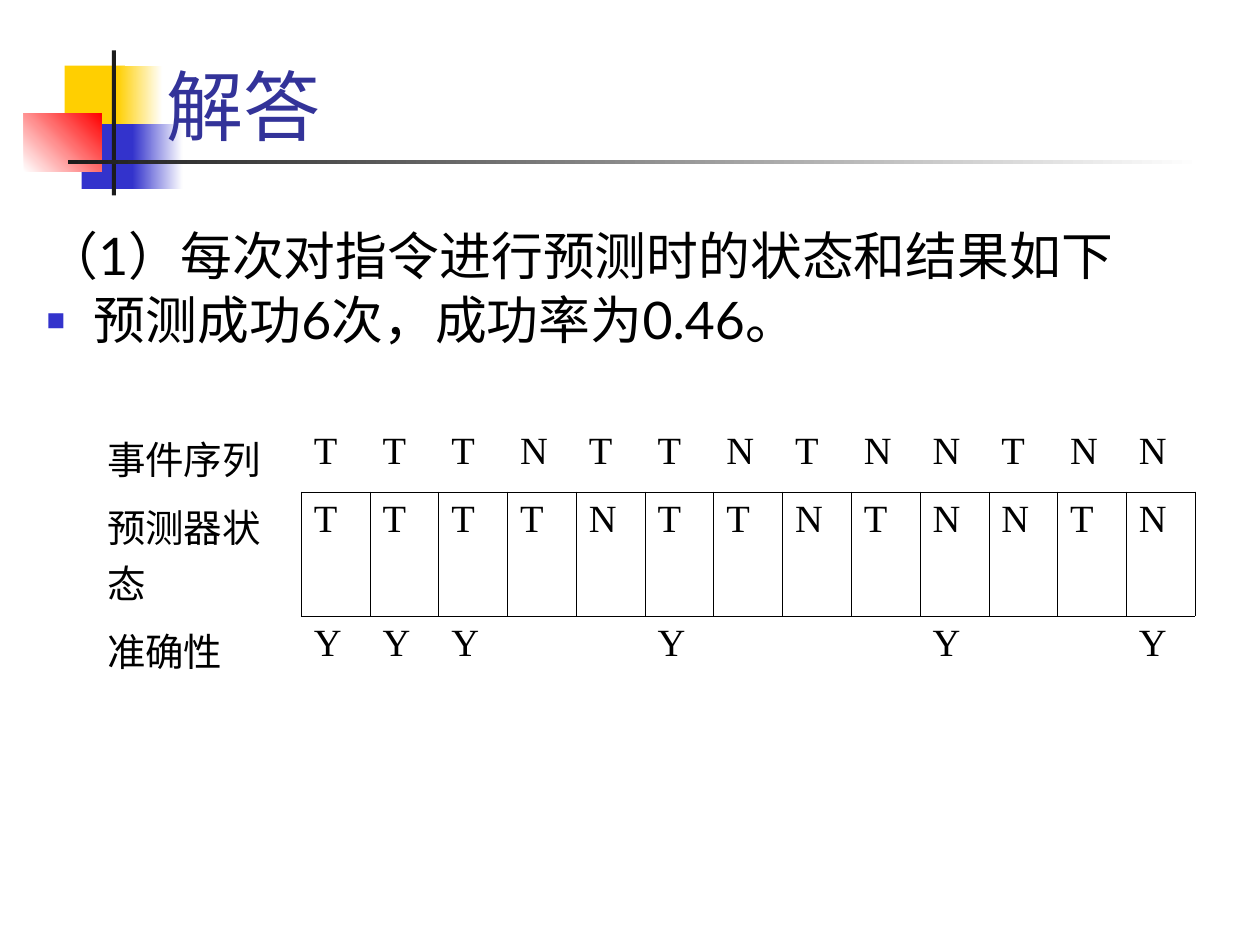
"""Build the slide that lists branch predictor states and their accuracy."""
import dataclasses

import lxml.etree
import pptx
import pptx.dml.color
import pptx.enum.shapes
import pptx.enum.text
import pptx.oxml.ns
import pptx.util

Pt = pptx.util.Pt
BLACK, WHITE, BLUE, GOLD, INK = "000000", "FFFFFF", "3333CC", "FFCF01", "1C1C1C"
NO_STYLE = "{2D5ABB26-0587-4C30-8999-92F81FD0307C}"


@dataclasses.dataclass
class Block:
    left: float
    top: float
    width: float
    height: float
    color: str
    fade: str = ""
    angle: float = 0


BLOCKS = [
    Block(36.9, 37.5, 34.5, 37.5, GOLD),
    Block(66.9, 37.5, 25.9, 37.5, GOLD, WHITE),
    Block(46.6, 70.9, 33.1, 37.1, BLUE),
    Block(75.6, 70.9, 28.8, 37.1, BLUE, WHITE),
    Block(13.7, 64.6, 44.3, 33.4, WHITE, "FF0000", 45),
    Block(63.9, 28.8, 2.4, 82.8, INK),
    Block(38.9, 91.3, 648, 2.3, INK, WHITE),
]

ROWS = [
    ("事件序列", "TTTNTTNTNNTNN", 39.2),
    ("预测器状态", "TTTTNTTNTNNTN", 60.5),
    ("准确性", "YYY  Y   Y  Y", 92),
]


def rgb(color: str) -> pptx.dml.color.RGBColor:
    return pptx.dml.color.RGBColor.from_string(color)


def add_child(parent, tag: str, **attributes: str):
    return lxml.etree.SubElement(parent, pptx.oxml.ns.qn(tag), attributes)


def draw_block(page, block: Block) -> None:
    shape = page.shapes.add_shape(
        pptx.enum.shapes.MSO_SHAPE.RECTANGLE,
        Pt(block.left), Pt(block.top), Pt(block.width), Pt(block.height))
    shape.shadow.inherit = False
    shape.line.fill.background()
    if block.fade:
        shape.fill.gradient()
        shape.fill.gradient_angle = block.angle
        for stop, color in zip(shape.fill.gradient_stops, (block.color, block.fade)):
            stop.color.rgb = rgb(color)
    else:
        shape.fill.solid()
        shape.fill.fore_color.rgb = rgb(block.color)


def write_text(para, text: str, *, size: float, font: str = "Lato", color: str = BLACK) -> None:
    span = para.add_run()
    span.text = text
    span.font.size = Pt(size)
    span.font.name = font
    span.font.color.rgb = rgb(color)


def place(box, left: float, top: float, width: float, height: float) -> None:
    box.left, box.top, box.width, box.height = Pt(left), Pt(top), Pt(width), Pt(height)
    box.text_frame.auto_size = pptx.enum.text.MSO_AUTO_SIZE.NONE
    box.text_frame.word_wrap = True


def set_bullet(para, shown: bool) -> None:
    properties = para._p.get_or_add_pPr()
    properties.set("marL", str(Pt(27)))
    properties.set("indent", str(-Pt(27)))
    if shown:
        add_child(add_child(properties, "a:buClr"), "a:srgbClr", val=BLUE)
        add_child(properties, "a:buSzPct", val="60000")
        add_child(properties, "a:buChar", char="■")
    else:
        add_child(properties, "a:buNone")


def draw_title(page) -> None:
    title = page.shapes.title
    place(title, 87.8, 0, 613.4, 90)
    title.text_frame.vertical_anchor = pptx.enum.text.MSO_ANCHOR.BOTTOM
    para = title.text_frame.paragraphs[0]
    para.alignment = pptx.enum.text.PP_ALIGN.LEFT
    write_text(para, "解答", size=44, color="333399")


def draw_body(page) -> None:
    body = page.placeholders[1]
    place(body, 19.4, 128.2, 684, 116)
    first, second = body.text_frame.paragraphs[0], body.text_frame.add_paragraph()
    lines = (
        (first, "（1）每次对指令进行预测时的状态和结果如下", False, 0),
        (second, "预测成功6次，成功率为0.46。", True, 4.5),
    )
    for para, text, bulleted, space in lines:
        para.line_spacing = 0.9
        para.space_before = Pt(space)
        set_bullet(para, bulleted)
        write_text(para, text, size=29.6)


def border_cell(cell) -> None:
    properties = cell._tc.get_or_add_tcPr()
    for place_index, side in enumerate(("a:lnL", "a:lnR", "a:lnT", "a:lnB")):
        line = add_child(properties, side, w=str(Pt(0.45)))
        add_child(add_child(line, "a:solidFill"), "a:srgbClr", val=BLACK)
        properties.insert(place_index, line)


def draw_table(page) -> None:
    events = len(ROWS[0][1])
    frame = page.shapes.add_table(len(ROWS), events + 1, Pt(54), Pt(242), Pt(629.2), Pt(191.7))
    table = frame.table
    table._tbl.tblPr.find(pptx.oxml.ns.qn("a:tableStyleId")).text = NO_STYLE
    table.first_row = table.horz_banding = False
    for index, column in enumerate(table.columns):
        column.width = Pt(39.3) if index else Pt(118.2)
    for row_index, (label, marks, height) in enumerate(ROWS):
        table.rows[row_index].height = Pt(height)
        for column_index, text in enumerate([label, *marks]):
            cell = table.cell(row_index, column_index)
            cell.fill.background()
            if text.strip():
                write_text(cell.text_frame.paragraphs[0], text, size=22, font="Times New Roman")
            if row_index == 1 and column_index:
                border_cell(cell)


def main() -> None:
    deck = pptx.Presentation()
    deck.slide_width, deck.slide_height = Pt(720), Pt(540)
    page = deck.slides.add_slide(deck.slide_layouts[1])
    holders = list(page.placeholders)
    for block in BLOCKS:
        draw_block(page, block)
    for holder in holders:
        page.shapes._spTree.append(holder._element)
    draw_title(page)
    draw_body(page)
    draw_table(page)
    deck.save("out.pptx")


if __name__ == "__main__":
    main()
